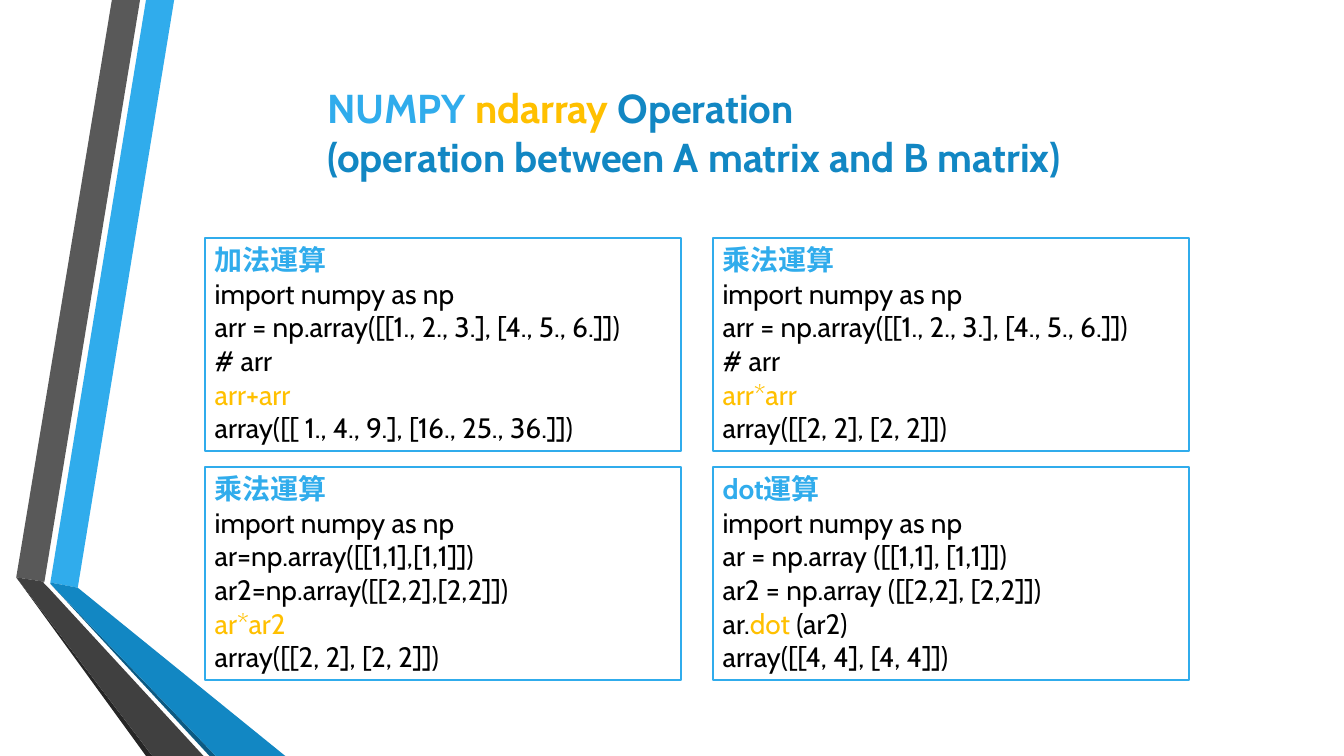
from pptx import Presentation
from pptx import util as u
from pptx.dml.color import RGBColor
from pptx.enum import shapes, text

Cm, Pt = u.Cm, u.Pt
FONT = "Cabin"
SKY = RGBColor(0x30, 0xAC, 0xEC)
BLUE = RGBColor(0x12, 0x87, 0xC3)
NAVY = RGBColor(0x0C, 0x5A, 0x82)
GOLD = RGBColor(0xFF, 0xC0, 0x00)
GREY = RGBColor(0x59, 0x59, 0x59)
CHARCOAL = RGBColor(0x40, 0x40, 0x40)
DARK = RGBColor(0x26, 0x26, 0x26)
BLACK = RGBColor(0, 0, 0)
WHITE = RGBColor(0xFF, 0xFF, 0xFF)

# Folded ribbons at the left edge: colour and corners in cm
RIBBONS = [
    (SKY, [(1.27, 14.68), (1.96, 14.81), (4.39, 0), (3.68, 0)]),
    (GREY, [(3.53, 0), (2.82, 0), (0.41, 14.55), (1.12, 14.66)]),
    (DARK, [(0.41, 14.55), (3.68, 19.05), (3.84, 19.05)]),
    (NAVY, [(1.27, 14.71), (5.28, 19.05), (5.44, 19.05)]),
    (BLUE, [(1.27, 14.68), (1.27, 14.71), (5.44, 19.05), (7.19, 19.05),
            (1.96, 14.81)]),
    (CHARCOAL, [(5.13, 19.05), (1.22, 14.81), (1.09, 14.68), (1.12, 14.66),
                (0.41, 14.55), (3.84, 19.05)]),
]

# Code cards, row by row: a heading, then lines made of (text, colour) runs
IMPORT = [("import numpy as np", BLACK)]
ARR = [("arr = np.array([[1., 2., 3.], [4., 5., 6.]])", BLACK)]
ARR_NOTE = [("# arr", BLACK)]
TWOS = [("array([[2, 2], [2, 2]])", BLACK)]
CARDS = [
    [("加法運算", [IMPORT, ARR, ARR_NOTE, [("arr+arr", GOLD)],
               [("array([[ 1., 4., 9.], [16., 25., 36.]])", BLACK)]]),
     ("乘法運算", [IMPORT, ARR, ARR_NOTE, [("arr*arr", GOLD)], TWOS])],
    [("乘法運算", [IMPORT,
               [("ar=np.array([[1,1],[1,1]])", BLACK)],
               [("ar2=np.array([[2,2],[2,2]])", BLACK)],
               [("ar*ar2", GOLD)], TWOS]),
     ("dot運算", [IMPORT,
                [("ar = np.array ([[1,1], [1,1]])", BLACK)],
                [("ar2 = np.array ([[2,2], [2,2]])", BLACK)],
                [("ar.", BLACK), ("dot", GOLD), (" (ar2)", BLACK)],
                [("array([[4, 4], [4, 4]])", BLACK)]])],
]


def add_runs(p, runs):
    for words, color in runs:
        r = p.add_run()
        r.text = words
        r.font.color.rgb = color


def style(p, size, bold):
    p.alignment = text.PP_ALIGN.LEFT
    p.font.name = FONT
    p.font.size = Pt(size)
    p.font.bold = bold


def add_ribbon(s, color, corners):
    points = [(Cm(x), Cm(y)) for x, y in corners]
    fb = s.shapes.build_freeform(*points[0])
    fb.add_line_segments(points[1:], close=True)
    sp = fb.convert_to_shape()
    sp.shadow.inherit = False
    sp.fill.solid()
    sp.fill.fore_color.rgb = color
    sp.line.fill.background()


def add_title(s):
    sp = s.shapes.add_textbox(Cm(8), Cm(1.9), Cm(19.48), Cm(2.84))
    tf = sp.text_frame
    tf.word_wrap = True
    tf.vertical_anchor = text.MSO_ANCHOR.MIDDLE
    p = tf.paragraphs[0]
    style(p, 28.8, True)
    add_runs(p, [("NUMPY ", SKY), ("ndarray ", GOLD), ("Operation ", BLUE)])
    p.add_line_break()
    add_runs(p, [("(operation between A matrix and B matrix)", BLUE)])


def add_card(s, left, top, heading, code):
    sp = s.shapes.add_shape(shapes.MSO_SHAPE.RECTANGLE,
                            Cm(left), Cm(top), Cm(12.01), Cm(5.38))
    sp.shadow.inherit = False
    sp.fill.solid()
    sp.fill.fore_color.rgb = WHITE
    sp.line.color.rgb = SKY
    sp.line.width = Pt(1.25)
    tf = sp.text_frame
    tf.word_wrap = True
    tf.vertical_anchor = text.MSO_ANCHOR.TOP
    tf.auto_size = text.MSO_AUTO_SIZE.SHAPE_TO_FIT_TEXT
    for i, runs in enumerate([[(heading, SKY)]] + code):
        p = tf.add_paragraph() if i else tf.paragraphs[0]
        style(p, 20, i == 0)
        add_runs(p, runs)


def main():
    prs = Presentation()
    prs.slide_width, prs.slide_height = Cm(33.87), Cm(19.05)
    s = prs.slides.add_slide(prs.slide_layouts[6])
    for color, corners in RIBBONS:
        add_ribbon(s, color, corners)
    add_title(s)
    # Two by two grid of cards
    for row, cards in enumerate(CARDS):
        for col, (heading, code) in enumerate(cards):
            add_card(s, 5.16 + 12.8 * col, 5.99 + 5.77 * row, heading, code)
    prs.save("out.pptx")


if __name__ == "__main__":
    main()
